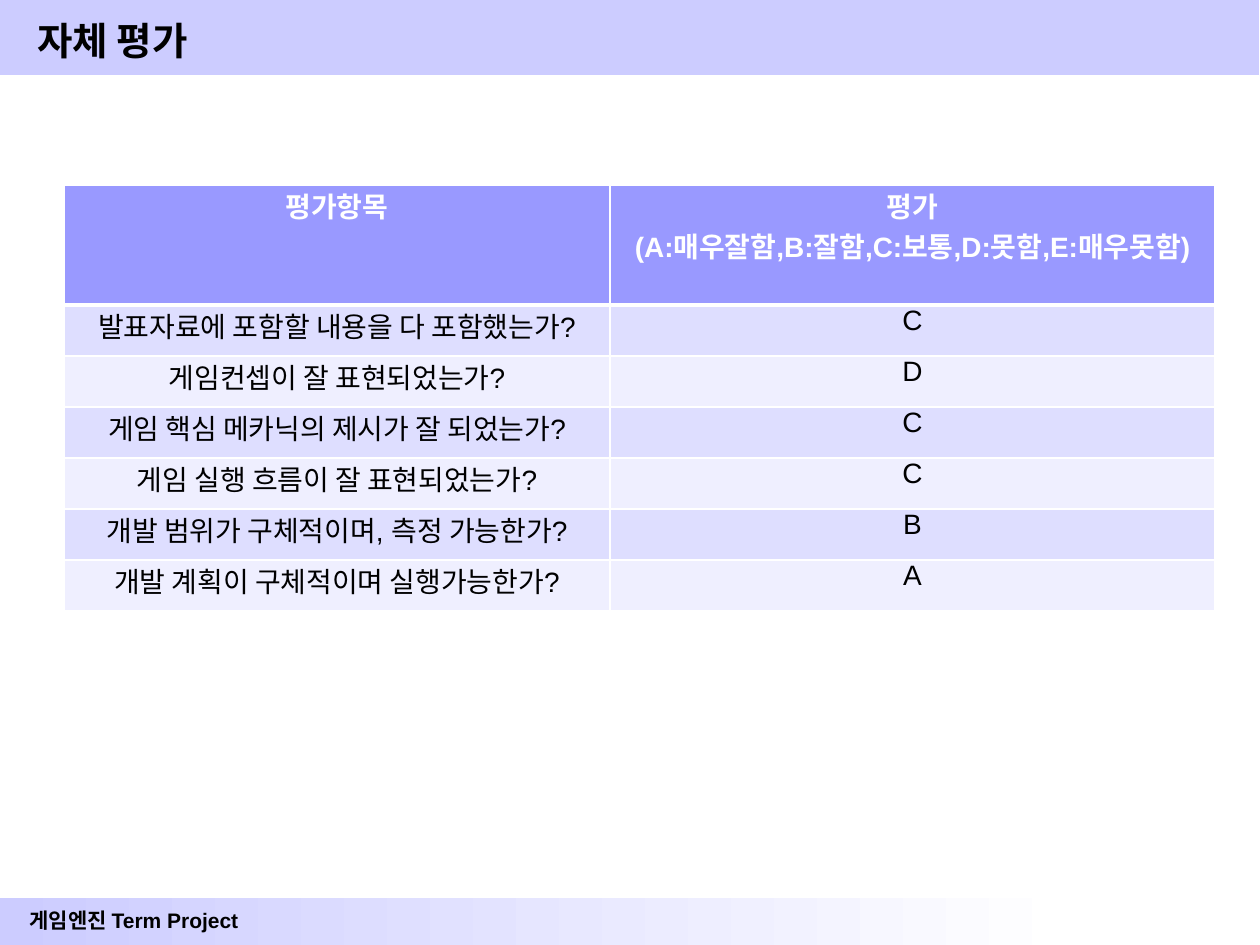
from dataclasses import dataclass

from lxml.etree import SubElement
from pptx import Presentation
from pptx.dml.color import RGBColor
from pptx.enum.shapes import MSO_SHAPE
from pptx.enum.text import MSO_ANCHOR, PP_ALIGN
from pptx.oxml.ns import qn
from pptx.util import Emu, Pt

SCALE = 914400 / 126
FONT = "Arial"
HEX = {
    "ink": "000000",
    "white": "FFFFFF",
    "band": "CCCCFF",
    "head": "9999FF",
    "odd": "DEDEFF",
    "even": "EFEFFF",
}


@dataclass
class Box:
    left: int
    top: int
    width: int
    height: int

    def emu(self) -> list[Emu]:
        return [px(n) for n in (self.left, self.top, self.width, self.height)]


@dataclass
class Label:
    box: Box
    text: str
    size: int
    align: PP_ALIGN
    anchor: MSO_ANCHOR


@dataclass
class Item:
    text: str
    grade: str


LABELS = [
    Label(Box(5, 901, 258, 38), "게임엔진 Term Project", 12,
          PP_ALIGN.CENTER, MSO_ANCHOR.TOP),
    Label(Box(25, 7, 1221, 66), "자체 평가", 22,
          PP_ALIGN.LEFT, MSO_ANCHOR.MIDDLE),
]
HEAD = [["평가항목"], ["평가", "(A:매우잘함,B:잘함,C:보통,D:못함,E:매우못함)"]]
ITEMS = [
    Item("발표자료에 포함할 내용을 다 포함했는가?", "C"),
    Item("게임컨셉이 잘 표현되었는가?", "D"),
    Item("게임 핵심 메카닉의 제시가 잘 되었는가?", "C"),
    Item("게임 실행 흐름이 잘 표현되었는가?", "C"),
    Item("개발 범위가 구체적이며, 측정 가능한가?", "B"),
    Item("개발 계획이 구체적이며 실행가능한가?", "A"),
]
COLS = [546, 605]
HEAD_ROW, ROW = 120, 51


def px(n: int) -> Emu:
    return Emu(round(n * SCALE))


def tint(name: str) -> RGBColor:
    return RGBColor.from_string(HEX[name])


def write(frame, lines: list[str], size: int, color: str, bold: bool,
          align: PP_ALIGN) -> None:
    for i, line in enumerate(lines):
        para = frame.add_paragraph() if i else frame.paragraphs[0]
        para.alignment = align
        run = para.add_run()
        run.text = line
        run.font.name = FONT
        run.font.size = Pt(size)
        run.font.bold = bold
        run.font.color.rgb = tint(color)


def add_band(slide, box: Box):
    band = slide.shapes.add_shape(MSO_SHAPE.RECTANGLE, *box.emu())
    band.shadow.inherit = False
    band.line.fill.background()
    return band


def add_label(slide, label: Label) -> None:
    frame = slide.shapes.add_textbox(*label.box.emu()).text_frame
    frame.word_wrap = True
    frame.vertical_anchor = label.anchor
    write(frame, [label.text], label.size, "ink", True, label.align)


def edge(cell, side: str, width: int) -> None:
    line = SubElement(cell._tc.get_or_add_tcPr(), qn(f"a:ln{side}"),
                      w=str(Pt(width)))
    fill = SubElement(line, qn("a:solidFill"))
    SubElement(fill, qn("a:srgbClr"), val=HEX["white"])


def fill_cell(cell, lines: list[str], row: int) -> None:
    cell.margin_left = cell.margin_right = 0
    cell.margin_top = cell.margin_bottom = 0
    # A thick rule parts the head from the body
    thick = {(0, "B"), (1, "T")}
    for side in "LRTB":
        edge(cell, side, 3 if (row, side) in thick else 1)
    back = "head" if row == 0 else "odd" if row % 2 else "even"
    cell.fill.solid()
    cell.fill.fore_color.rgb = tint(back)
    write(cell.text_frame, lines, 16, "ink" if row else "white", row == 0,
          PP_ALIGN.CENTER)


def add_grades(slide) -> None:
    rows = [HEAD] + [[[item.text], [item.grade]] for item in ITEMS]
    box = Box(64, 185, sum(COLS), HEAD_ROW + ROW * len(ITEMS))
    table = slide.shapes.add_table(len(rows), len(COLS), *box.emu()).table
    for col, width in zip(table.columns, COLS):
        col.width = px(width)
    for r, cells in enumerate(rows):
        table.rows[r].height = px(ROW if r else HEAD_ROW)
        for c, lines in enumerate(cells):
            fill_cell(table.cell(r, c), lines, r)


def main() -> None:
    deck = Presentation()
    deck.slide_width, deck.slide_height = px(1260), px(945)
    slide = deck.slides.add_slide(deck.slide_layouts[6])

    # Footer band, fading to the right
    foot = add_band(slide, Box(0, 898, 1075, 47))
    foot.fill.gradient()
    foot.fill.gradient_angle = 0
    for stop, name, spot in zip(foot.fill.gradient_stops,
                                ("band", "white"), (0, 1)):
        stop.color.rgb = tint(name)
        stop.position = spot

    # Title band
    top = add_band(slide, Box(0, 0, 1259, 75))
    top.fill.solid()
    top.fill.fore_color.rgb = tint("band")

    # Footer text and title
    for label in LABELS:
        add_label(slide, label)

    # Table of grades
    add_grades(slide)
    deck.save("out.pptx")


if __name__ == "__main__":
    main()
